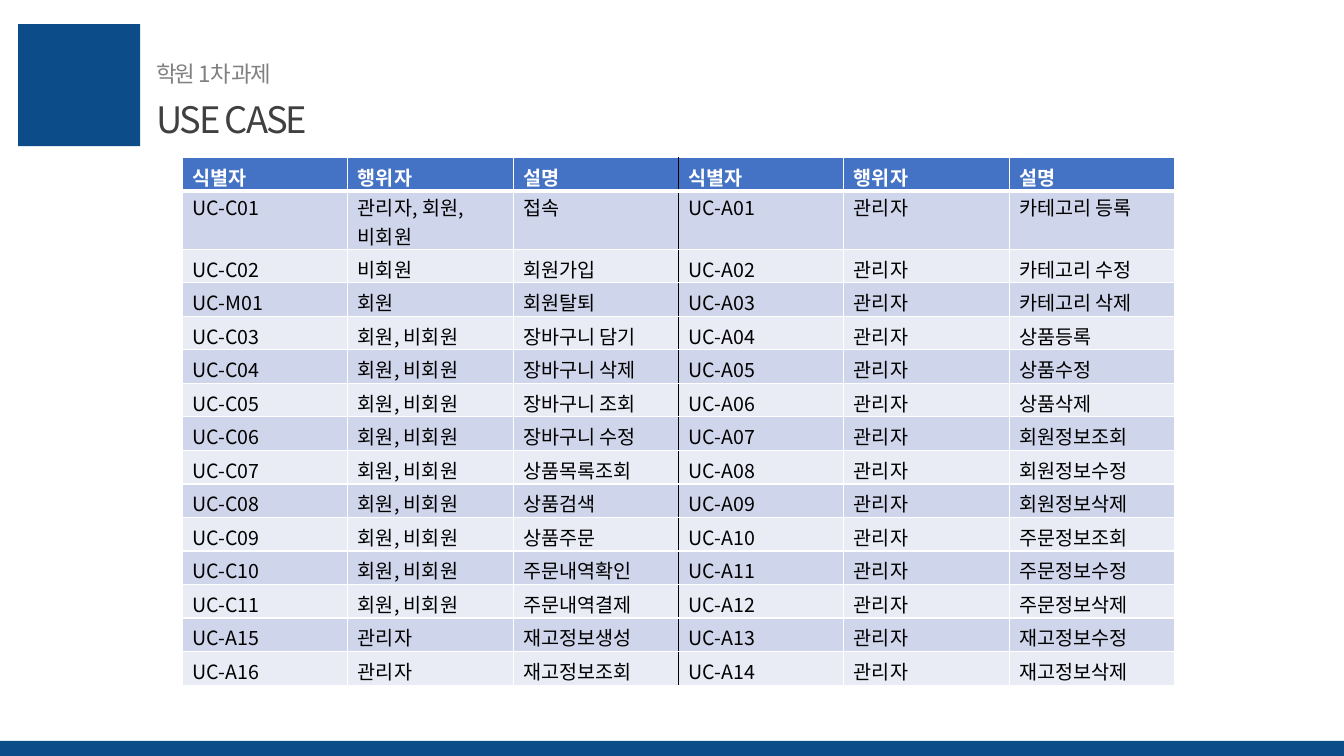
"""Build the USE CASE slide with its table of use cases."""
from lxml import etree
from pptx import Presentation, util as u
from pptx.dml.color import RGBColor
from pptx.enum import shapes, text
from pptx.oxml.ns import qn

COLORS = {"navy": "0C4C89", "subtitle": "808080", "title": "404040", "header": "4472C4",
          "odd": "CFD5EA", "even": "E9EBF5", "white": "FFFFFF", "black": "000000"}
FONT = "Noto Sans CJK KR"
MEMBERS = "회원, 비회원"
ADMIN = "관리자"
USE_CASES = [
    ("식별자", "행위자", "설명", "식별자", "행위자", "설명"),
    ("UC-C01", "관리자, 회원,비회원", "접속", "UC-A01", ADMIN, "카테고리 등록"),
    ("UC-C02", "비회원", "회원가입", "UC-A02", ADMIN, "카테고리 수정"),
    ("UC-M01", "회원", "회원탈퇴", "UC-A03", ADMIN, "카테고리 삭제"),
    ("UC-C03", MEMBERS, "장바구니 담기", "UC-A04", ADMIN, "상품등록"),
    ("UC-C04", MEMBERS, "장바구니 삭제", "UC-A05", ADMIN, "상품수정"),
    ("UC-C05", MEMBERS, "장바구니 조회", "UC-A06", ADMIN, "상품삭제"),
    ("UC-C06", MEMBERS, "장바구니 수정", "UC-A07", ADMIN, "회원정보조회"),
    ("UC-C07", MEMBERS, "상품목록조회", "UC-A08", ADMIN, "회원정보수정"),
    ("UC-C08", MEMBERS, "상품검색", "UC-A09", ADMIN, "회원정보삭제"),
    ("UC-C09", MEMBERS, "상품주문", "UC-A10", ADMIN, "주문정보조회"),
    ("UC-C10", MEMBERS, "주문내역확인", "UC-A11", ADMIN, "주문정보수정"),
    ("UC-C11", MEMBERS, "주문내역결제", "UC-A12", ADMIN, "주문정보삭제"),
    ("UC-A15", ADMIN, "재고정보생성", "UC-A13", ADMIN, "재고정보수정"),
    ("UC-A16", ADMIN, "재고정보조회", "UC-A14", ADMIN, "재고정보삭제"),
]


def write(text_frame, content, size, color, bold=False):
    text_frame.text = content
    run = text_frame.paragraphs[0].runs[0]
    run.font.size = u.Pt(size)
    run.font.bold = bold
    run.font.color.rgb = RGBColor.from_string(COLORS[color])
    run.font.name = FONT
    etree.SubElement(run.font._element, qn("a:ea"), typeface=FONT)
    return run


def add_border(cell, position, side, color, points):
    line = etree.Element(qn(f"a:ln{side}"), w=str(u.Pt(points)))
    fill = etree.SubElement(line, qn("a:solidFill"))
    etree.SubElement(fill, qn("a:srgbClr"), val=COLORS[color])
    cell._tc.get_or_add_tcPr().insert(position, line)


presentation = Presentation()
presentation.slide_width = u.Inches(13.33)
presentation.slide_height = u.Inches(7.5)
slide = presentation.slides.add_slide(presentation.slide_layouts[6])

for box in [(0.18, 0.24, 1.21, 1.21), (0, 7.35, 13.33, 0.16)]:
    block = slide.shapes.add_shape(shapes.MSO_SHAPE.RECTANGLE, *map(u.Inches, box))
    block.shadow.inherit = False
    block.fill.solid()
    block.fill.fore_color.rgb = RGBColor.from_string(COLORS["navy"])
    block.line.fill.background()

for content, box, size, color in [
    ("학원 1차 과제", (1.45, 0.54, 5.55, 0.37), 16, "subtitle"),
    ("USE CASE", (1.45, 0.91, 4.16, 0.54), 26, "title"),
]:
    text_frame = slide.shapes.add_textbox(*map(u.Inches, box)).text_frame
    text_frame.word_wrap = True
    text_frame.vertical_anchor = text.MSO_ANCHOR.MIDDLE
    text_frame.margin_top = text_frame.margin_bottom = 0
    heading = write(text_frame, content, size, color)
    heading.font._element.set("spc", "-150")

row_count, column_count = len(USE_CASES), len(USE_CASES[0])
tall_row, tall_height = 1, 0.58
row_height = (5.24 - tall_height) / (row_count - 1)
table = slide.shapes.add_table(row_count, column_count, u.Inches(1.81), u.Inches(1.56),
                               u.Inches(9.84), u.Inches(5.24)).table
table.horz_banding = False
for column in table.columns:
    column.width = u.Inches(1.64)

for row_index, use_case in enumerate(USE_CASES):
    is_header, is_tall = row_index == 0, row_index == tall_row
    table.rows[row_index].height = u.Inches(tall_height if is_tall else row_height)
    fill_color = "header" if is_header else "odd" if row_index % 2 else "even"
    for column_index, content in enumerate(use_case):
        cell = table.cell(row_index, column_index)
        cell.margin_top = u.Inches(0.02 if is_tall else 0.05)
        cell.margin_bottom = 0
        cell.fill.solid()
        cell.fill.fore_color.rgb = RGBColor.from_string(COLORS[fill_color])
        write(cell.text_frame, content, 14, "white" if is_header else "black", is_header)
        borders = [("L", "black" if column_index == 3 else "white", 1),
                   ("R", "black" if column_index == 2 else "white", 1),
                   ("T", "white", 3 if row_index == 1 else 1),
                   ("B", "white", 3 if is_header else 1)]
        for position, border in enumerate(borders):
            add_border(cell, position, *border)

presentation.save("out.pptx")
